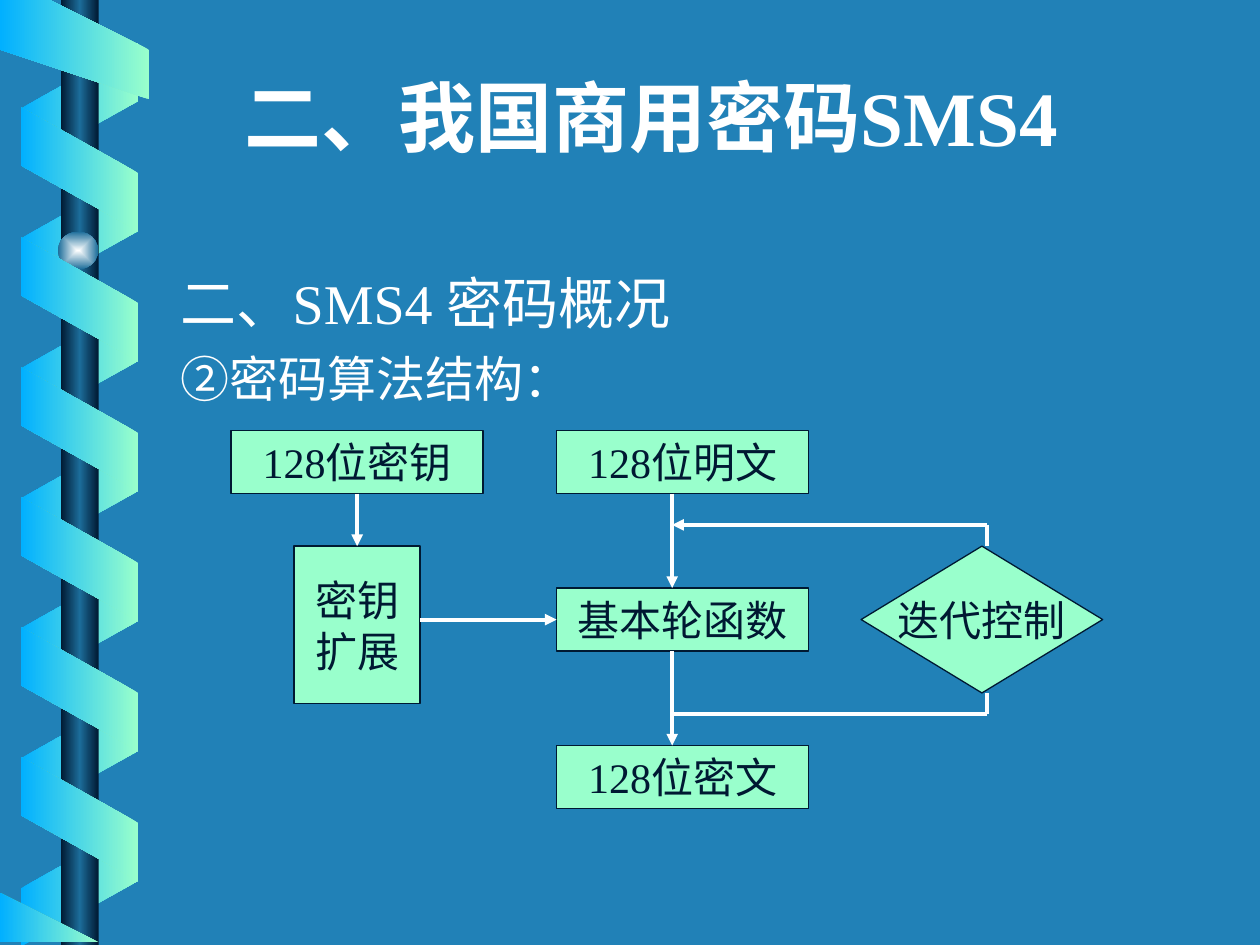
from dataclasses import dataclass
from lxml.etree import SubElement
from pptx import Presentation
from pptx.dml.color import RGBColor
from pptx.enum.shapes import MSO_CONNECTOR as Connector, MSO_SHAPE as Shape
from pptx.enum.text import MSO_ANCHOR as Anchor, PP_ALIGN as Align
from pptx.oxml import parse_xml
from pptx.oxml.ns import nsdecls, qn
from pptx.util import Cm, Pt


@dataclass(frozen=True)
class Theme:
    background: str = "2181B7"
    white: str = "FFFFFF"
    dark: str = "001932"
    steel: str = "1C6D9A"
    shine: str = "FEFFFF"
    mint: str = "99FFCC"
    sky: str = "01B0FF"
    heading_font: str = "Roboto Condensed"
    latin_font: str = "Times New Roman"
    title_size: int = 44
    section_size: int = 32
    item_size: int = 28
    box_size: int = 24
    outline: float = 0.75
    arrow: float = 2.25


theme = Theme()

TITLE = [("二、我国商用密码", theme.heading_font), ("SMS4", theme.latin_font)]
SECTION = [("二、", theme.heading_font), ("SMS4 ", theme.latin_font),
           ("密码概况", theme.heading_font)]
ITEM = [("②密码算法结构：", theme.heading_font)]

BOX_WIDTH, BOX_HEIGHT = 5.08, 1.27
KEY_LEFT, DATA_LEFT = 4.66, 11.22
DATA_TOP, DATA_STEP = 8.68, 3.175
ROUND_TOP, CIPHER_TOP = DATA_TOP + DATA_STEP, DATA_TOP + 2 * DATA_STEP
ROUND_MIDDLE = ROUND_TOP + BOX_HEIGHT / 2
FLOW_X, LOOP_X = 13.55, 19.9
LOOP_TOP, LOOP_BOTTOM = 10.58, 14.39
EXPAND_TOP, DECISION_BOTTOM = 11.01, 13.97

BOXES = {
    "round": ("基本轮函数", Shape.RECTANGLE, DATA_LEFT, ROUND_TOP, BOX_WIDTH, BOX_HEIGHT),
    "plain": ("128位明文", Shape.RECTANGLE, DATA_LEFT, DATA_TOP, BOX_WIDTH, BOX_HEIGHT),
    "cipher": ("128位密文", Shape.RECTANGLE, DATA_LEFT, CIPHER_TOP, BOX_WIDTH, BOX_HEIGHT),
    "expand": ("密钥\n扩展", Shape.RECTANGLE, 5.93, EXPAND_TOP, 2.54, 3.18),
    "key": ("128位密钥", Shape.RECTANGLE, KEY_LEFT, DATA_TOP, BOX_WIDTH, BOX_HEIGHT),
    "decision": ("迭代控制", Shape.FLOWCHART_DECISION, 17.36, EXPAND_TOP, 4.87, 2.96),
}
LINES = [
    ((7.2, DATA_TOP + BOX_HEIGHT), (7.2, EXPAND_TOP), "tailEnd", ("key", 2), ("expand", 0)),
    ((8.47, ROUND_MIDDLE), (DATA_LEFT, ROUND_MIDDLE), "tailEnd", None, ("round", 1)),
    ((FLOW_X, DATA_TOP + BOX_HEIGHT), (FLOW_X, ROUND_TOP), "tailEnd", None, None),
    ((FLOW_X, ROUND_TOP + BOX_HEIGHT), (FLOW_X, CIPHER_TOP), "tailEnd", None, None),
    ((FLOW_X, LOOP_BOTTOM), (LOOP_X, LOOP_BOTTOM), None, None, None),
    ((LOOP_X, LOOP_BOTTOM), (LOOP_X, DECISION_BOTTOM), None, None, None),
    ((FLOW_X, LOOP_TOP), (LOOP_X, LOOP_TOP), "headEnd", None, None),
    ((LOOP_X, LOOP_TOP), (LOOP_X, EXPAND_TOP), None, None, None),
]

RIBBON_STEP = 2.62
BACK_RIBBON = (0.93, 7, 90, (theme.sky, theme.mint))
FRONT_RIBBON = (2.23, 6, 270, (theme.mint, theme.sky))
TOP_END = [(0.43, 0), (0.43, 0.74), (2.77, 2.06), (2.77, 0.89), (1.19, 0)]
BOTTOM_END = [(2.44, 19.02), (0.43, 17.91), (0.41, 19.05)]
CROSSBAR = [(25.4, 4.72), (1.93, 4.72), (1.52, 5.08), (1.93, 5.44), (25.4, 5.44)]
METAL = (theme.dark, theme.steel, theme.dark)


def color(value):
    return RGBColor.from_string(value)


def decorate(shape, colors, angle=None):
    shape.shadow.inherit = False
    shape.line.fill.background()
    stops = "".join(
        f'<a:gs pos="{100000 * index // (len(colors) - 1)}"><a:srgbClr val="{value}"/></a:gs>'
        for index, value in enumerate(colors))
    direction = (
        '<a:path path="rect"><a:fillToRect l="50000" t="50000" r="50000" b="50000"/></a:path>'
        if angle is None else f'<a:lin ang="{angle * 60000}" scaled="1"/>')
    gradient = parse_xml(f'<a:gradFill {nsdecls("a")} rotWithShape="0">'
                         f'<a:gsLst>{stops}</a:gsLst>{direction}</a:gradFill>')
    shape._element.spPr.find(qn("a:ln")).addprevious(gradient)


def add_preset(shapes, kind, left, top, width, height):
    return shapes.add_shape(kind, Cm(left), Cm(top), Cm(width), Cm(height))


def add_ribbon(shapes, first_top, count, rotation, colors):
    for index in range(count):
        top = first_top + index * RIBBON_STEP
        shape = add_preset(shapes, Shape.PARALLELOGRAM, 0.36, top, 2.49, 2.36)
        shape.adjustments[0] = 0.56
        shape.rotation = rotation
        if rotation == 90:
            shape._element.spPr.xfrm.set("flipH", "1")
        decorate(shape, colors, 180)


def add_outline(shapes, points, colors, angle):
    builder = shapes.build_freeform(*points[0], scale=Cm(1))
    builder.add_line_segments(points[1:], close=True)
    decorate(builder.convert_to_shape(), colors, angle)


def add_text(shapes, place, paragraphs):
    frame = shapes.add_textbox(*map(Cm, place)).text_frame
    frame.word_wrap = True
    for index, (runs, size) in enumerate(paragraphs):
        paragraph = frame.add_paragraph() if index else frame.paragraphs[0]
        paragraph.font.size = Pt(size)
        paragraph.font.color.rgb = color(theme.white)
        if index:
            paragraph.space_before = Pt(7)
        for text, font in runs:
            run = paragraph.add_run()
            run.text = text
            run.font.name = font
    return frame


def add_box(shapes, text, kind, *place):
    shape = add_preset(shapes, kind, *place)
    shape.shadow.inherit = False
    shape.fill.solid()
    shape.fill.fore_color.rgb = color(theme.mint)
    shape.line.color.rgb = color(theme.dark)
    shape.line.width = Pt(theme.outline)
    frame = shape.text_frame
    frame.text = text
    frame.word_wrap = False
    frame.vertical_anchor = Anchor.MIDDLE
    for paragraph in frame.paragraphs:
        paragraph.alignment = Align.CENTER
        paragraph.font.name = theme.latin_font
        paragraph.font.size = Pt(theme.box_size)
        paragraph.font.color.rgb = color(theme.dark)
    return shape


def add_line(shapes, boxes, start, end, arrow, source, target):
    line = shapes.add_connector(Connector.STRAIGHT, *map(Cm, start + end))
    line.line.color.rgb = color(theme.white)
    line.line.width = Pt(theme.arrow)
    if arrow:
        SubElement(line.line._get_or_add_ln(), qn(f"a:{arrow}"), type="triangle")
    SubElement(line._element.spPr, qn("a:effectLst"))
    if source:
        line.begin_connect(boxes[source[0]], source[1])
    if target:
        line.end_connect(boxes[target[0]], target[1])


def main():
    presentation = Presentation()
    presentation.slide_width, presentation.slide_height = Cm(25.4), Cm(19.05)
    slide = presentation.slides.add_slide(presentation.slide_layouts[6])
    slide.background.fill.solid()
    slide.background.fill.fore_color.rgb = color(theme.background)
    shapes = slide.shapes

    add_ribbon(shapes, *BACK_RIBBON)
    decorate(add_preset(shapes, Shape.RECTANGLE, 1.23, 0, 0.76, 19.05), METAL, 180)
    add_outline(shapes, CROSSBAR, METAL, 90)
    decorate(add_preset(shapes, Shape.OVAL, 1.17, 4.67, 0.81, 0.76), (theme.shine, theme.steel))
    add_ribbon(shapes, *FRONT_RIBBON)
    for points in (TOP_END, BOTTOM_END):
        add_outline(shapes, points, FRONT_RIBBON[3], 180)

    add_text(shapes, (3.39, 5.29, 21.38, 13.13),
             [(SECTION, theme.section_size), (ITEM, theme.item_size)])
    title = add_text(shapes, (2.33, 1.06, 21.59, 2.33), [(TITLE, theme.title_size)])
    title.vertical_anchor = Anchor.BOTTOM
    title.paragraphs[0].alignment = Align.CENTER
    title.paragraphs[0].font.bold = True

    boxes = {name: add_box(shapes, *box) for name, box in BOXES.items()}
    for line in LINES:
        add_line(shapes, boxes, *line)
    presentation.save("out.pptx")


if __name__ == "__main__":
    main()
